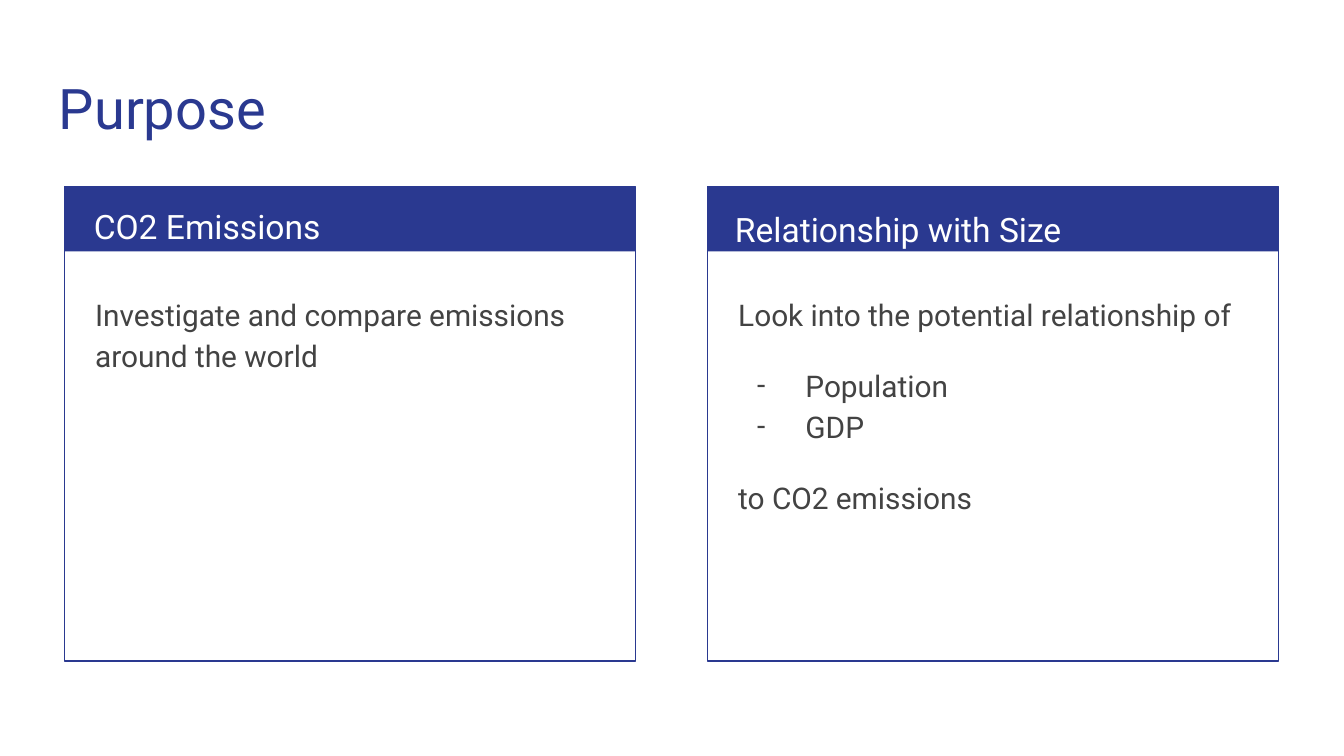
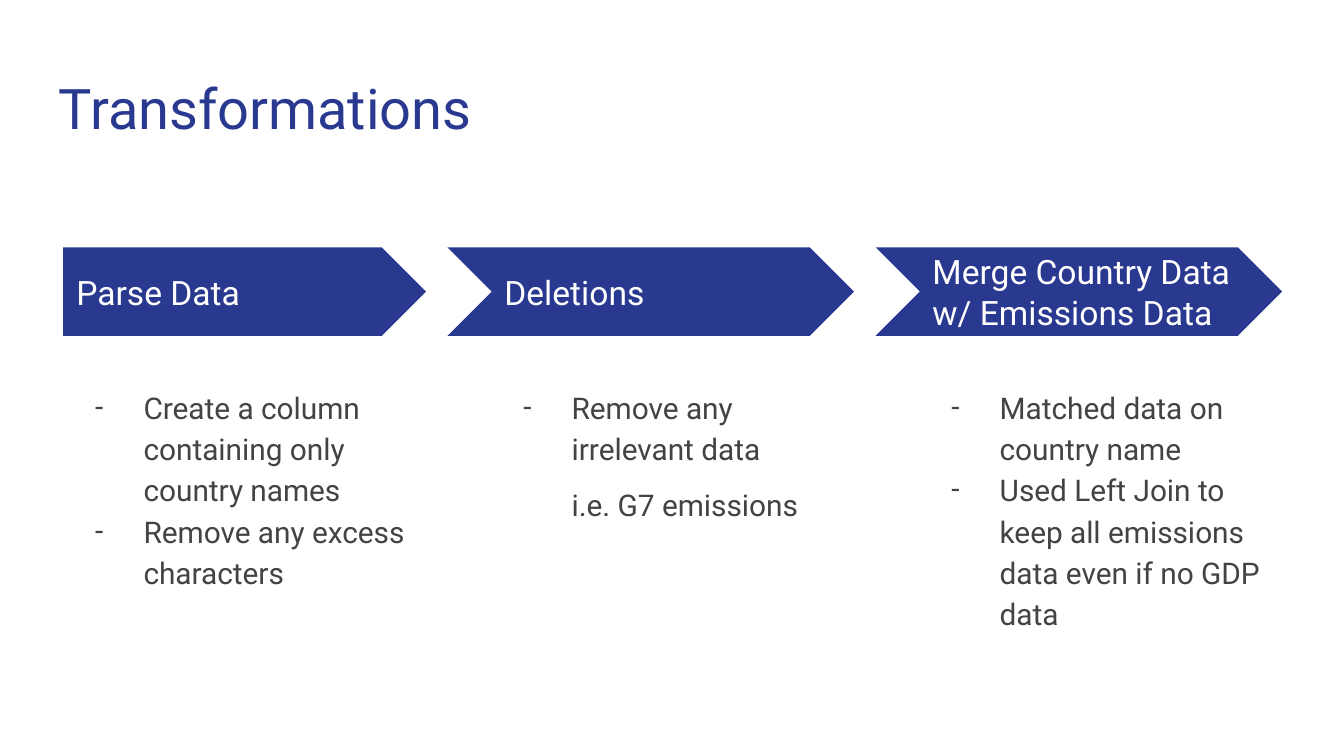
from lxml import etree
from pptx import Presentation
from pptx.dml.color import RGBColor
from pptx.enum.shapes import MSO_SHAPE
from pptx.enum.text import MSO_ANCHOR
from pptx.oxml.ns import qn
from pptx.util import Pt

PX = 4572
WIDTH, HEIGHT = 2000, 1125
BLUE, WHITE, GREY = "2A3990", "FFFFFF", "434343"
FONT = "Roboto"
TITLE_SIZE, HEAD_SIZE, BODY_SIZE = 30, 18, 16
INSET, MARGIN, HANGING = 20, 100, 72
RECT, PENTAGON, CHEVRON = MSO_SHAPE.RECTANGLE, MSO_SHAPE.PENTAGON, MSO_SHAPE.CHEVRON
TOP, MIDDLE = MSO_ANCHOR.TOP, MSO_ANCHOR.MIDDLE

PLAIN, BULLET, INDENTED = "plain", "bullet", "indented"

CARDS = [
    {"left": 96, "heading": "CO2 Emissions", "heading_at": (120, 278),
     "body": [("Investigate and compare emissions around the world", PLAIN, 0, 16)]},
    {"left": 1053, "heading": "Relationship with Size", "heading_at": (1074, 282),
     "body": [("Look into the potential relationship of", PLAIN, 0, 0),
              ("Population", BULLET, 16, 0),
              ("GDP", BULLET, 0, 0),
              ("to CO2 emissions", PLAIN, 16, 16)]},
]
CARD_TOP, CARD_W, CARD_H, BAND_H = 278, 850, 706, 96

STEPS = [
    ("Parse Data",
     [("Create a column containing only country names", BULLET, 0, 0),
      ("Remove any excess characters", BULLET, 0, 0)]),
    ("Deletions",
     [("Remove any irrelevant data", BULLET, 0, 0),
      ("i.e. G7 emissions", INDENTED, 8, 8)]),
    ("Merge Country Data w/ Emissions Data",
     [("Matched data on country name", BULLET, 0, 0),
      ("Used Left Join to keep all emissions data even if no GDP data", BULLET, 0, 0)]),
]
STEP_LEFT, STEP_PITCH, STEP_W, NOTCH = 94, 637, 540, 65
ARROW_TOP, ARROW_H = 368, 132


def rgb(value):
    return RGBColor.from_string(value)


def emu(*lengths):
    return [length * PX for length in lengths]


def add_box(slide, kind, x, y, w, h, fill=None, line=None):
    sp = slide.shapes.add_shape(kind, *emu(x, y, w, h))
    sp.shadow.inherit = False
    if fill:
        sp.fill.solid()
        sp.fill.fore_color.rgb = rgb(fill)
    else:
        sp.fill.background()
    if line:
        sp.line.color.rgb = rgb(line)
        sp.line.width = Pt(0.75)
    else:
        sp.line.fill.background()
    return sp


def set_indent(p, kind):
    if kind == PLAIN:
        return
    pPr = p._p.get_or_add_pPr()
    pPr.set("marL", str(MARGIN * PX))
    pPr.set("indent", str(-HANGING * PX if kind == BULLET else 0))
    if kind == BULLET:
        color = etree.SubElement(pPr, qn("a:buClr"))
        etree.SubElement(color, qn("a:srgbClr"), val=GREY)
        etree.SubElement(pPr, qn("a:buFont"), typeface=FONT)
        etree.SubElement(pPr, qn("a:buChar"), char="-")


def add_text(slide, paragraphs, x, y, w, h, size, color, spacing=1.0, anchor=TOP):
    tf = slide.shapes.add_textbox(*emu(x, y, w, h)).text_frame
    tf.word_wrap = True
    tf.vertical_anchor = anchor
    tf.margin_left = tf.margin_right = tf.margin_top = tf.margin_bottom = INSET * PX
    for i, (text, kind, before, after) in enumerate(paragraphs):
        p = tf.add_paragraph() if i else tf.paragraphs[0]
        p.line_spacing = spacing
        p.space_before, p.space_after = Pt(before), Pt(after)
        set_indent(p, kind)
        r = p.add_run()
        r.text = text
        r.font.name = FONT
        r.font.size = Pt(size)
        r.font.color.rgb = rgb(color)


def add_line(slide, text, *args, **kwargs):
    add_text(slide, [(text, PLAIN, 0, 0)], *args, **kwargs)


def add_slide(prs, title):
    slide = prs.slides.add_slide(prs.slide_layouts[6])
    slide.background.fill.solid()
    slide.background.fill.fore_color.rgb = rgb(WHITE)
    add_line(slide, title, 68, 90, 1864, 132, TITLE_SIZE, BLUE)
    return slide


def build_purpose(prs):
    slide = add_slide(prs, "Purpose")
    for card in CARDS:
        x = card["left"]
        add_box(slide, RECT, x, CARD_TOP, CARD_W, BAND_H, fill=BLUE)
        add_box(slide, RECT, x, CARD_TOP, CARD_W, CARD_H, line=BLUE)
        add_line(slide, card["heading"], *card["heading_at"], 806, 100,
                 HEAD_SIZE, WHITE, spacing=1.15)
        add_text(slide, card["body"], x + 26, 414, 800, 612, BODY_SIZE, GREY, spacing=1.15)


def build_transformations(prs):
    slide = add_slide(prs, "Transformations")
    for i, (label, body) in enumerate(STEPS):
        x = STEP_LEFT + i * STEP_PITCH
        notch = NOTCH if i else 0
        arrow = add_box(slide, CHEVRON if i else PENTAGON, x - notch, ARROW_TOP,
                        STEP_W + notch, ARROW_H, fill=BLUE)
        arrow.adjustments[0] = 0.5
        add_line(slide, label, x, 400, 494, 68, HEAD_SIZE, WHITE, anchor=MIDDLE)
        add_text(slide, body, x, 552, STEP_W, 570, BODY_SIZE, GREY, spacing=1.15)


def main():
    prs = Presentation()
    prs.slide_width, prs.slide_height = emu(WIDTH, HEIGHT)
    build_purpose(prs)
    build_transformations(prs)
    prs.save("out.pptx")


if __name__ == "__main__":
    main()
